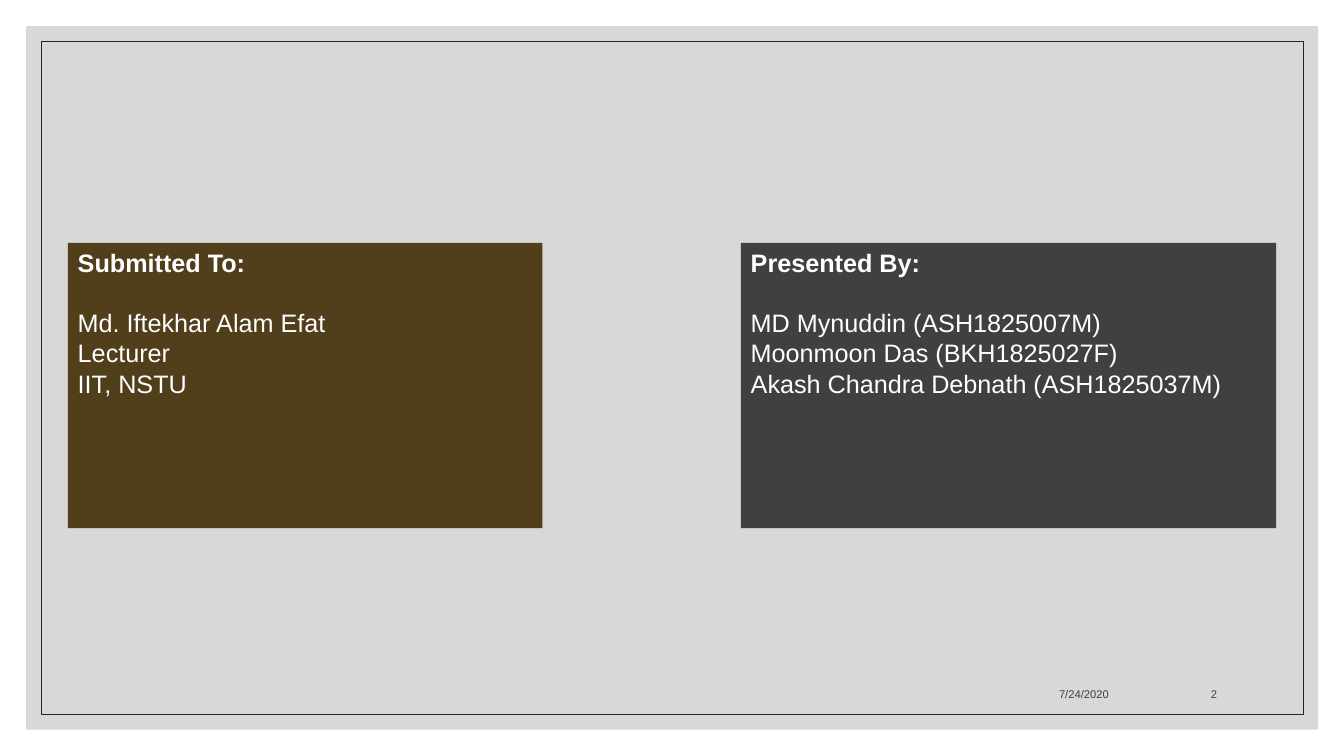
from lxml.etree import SubElement
from pptx import Presentation
from pptx.dml.color import RGBColor
from pptx.enum.shapes import MSO_SHAPE
from pptx.enum.text import MSO_ANCHOR, PP_ALIGN
from pptx.oxml.ns import qn
from pptx.util import Cm, Pt

COLORS = {
    "panel": "BFBFBF",
    "frame": "262626",
    "brown": "513E1B",
    "gray": "404040",
    "white": "FFFFFF",
}


def add_rectangle(left, top, width, height, fill=None, line=None):
    shape = slide.shapes.add_shape(
        MSO_SHAPE.RECTANGLE, Cm(left), Cm(top), Cm(width), Cm(height))
    shape.shadow.inherit = False
    if fill:
        shape.fill.solid()
        shape.fill.fore_color.rgb = RGBColor.from_string(COLORS[fill])
    else:
        shape.fill.background()
    if line:
        shape.line.color.rgb = RGBColor.from_string(COLORS[line])
        shape.line.width = Pt(0.5)
    else:
        shape.line.fill.background()
    return shape


def write_text(shape, lines, size=18, color="white", align=PP_ALIGN.LEFT,
               anchor=MSO_ANCHOR.TOP, bold_heading=False):
    frame = shape.text_frame
    frame.word_wrap = True
    frame.vertical_anchor = anchor
    frame.text = "\n".join(lines)
    for paragraph in frame.paragraphs:
        paragraph.alignment = align
        font = paragraph.runs[0].font
        font.name = "Arial"
        font.size = Pt(size)
        font.bold = False
        font.color.rgb = RGBColor.from_string(COLORS[color])
    if bold_heading:
        heading = frame.paragraphs[0]
        heading.runs[0].font.bold = True
        heading.space_after = Pt(21)


presentation = Presentation()
presentation.slide_width = Cm(33.87)
presentation.slide_height = Cm(19.05)
slide = presentation.slides.add_slide(presentation.slide_layouts[6])

# Translucent panel and thin frame
panel = add_rectangle(0.66, 0.66, 32.56, 17.73, fill="panel")
panel_color = panel.fill._xPr.find(qn("a:solidFill"))[0]
SubElement(panel_color, qn("a:alpha"), val="60000")
add_rectangle(1.04, 1.04, 31.8, 16.97, line="frame")

# Recipient and presenter boxes
boxes = [
    (1.71, 11.96, "brown", ["Submitted To:", "Md. Iftekhar Alam Efat",
                            "Lecturer", "IIT, NSTU"]),
    (18.67, 13.49, "gray", ["Presented By:", "MD Mynuddin (ASH1825007M)",
                            "Moonmoon Das (BKH1825027F)",
                            "Akash Chandra Debnath (ASH1825037M)"]),
]
for left, width, fill, lines in boxes:
    box = add_rectangle(left, 6.12, width, 7.19, fill=fill)
    write_text(box, lines, bold_heading=True)

# Date and slide number
for left, width, text in [(20.17, 8.03, "7/24/2020"), (28.58, 2.34, "2")]:
    footer = slide.shapes.add_textbox(Cm(left), Cm(16.76), Cm(width), Cm(1.02))
    write_text(footer, [text], size=8, color="gray",
               align=PP_ALIGN.RIGHT, anchor=MSO_ANCHOR.BOTTOM)

presentation.save("out.pptx")
